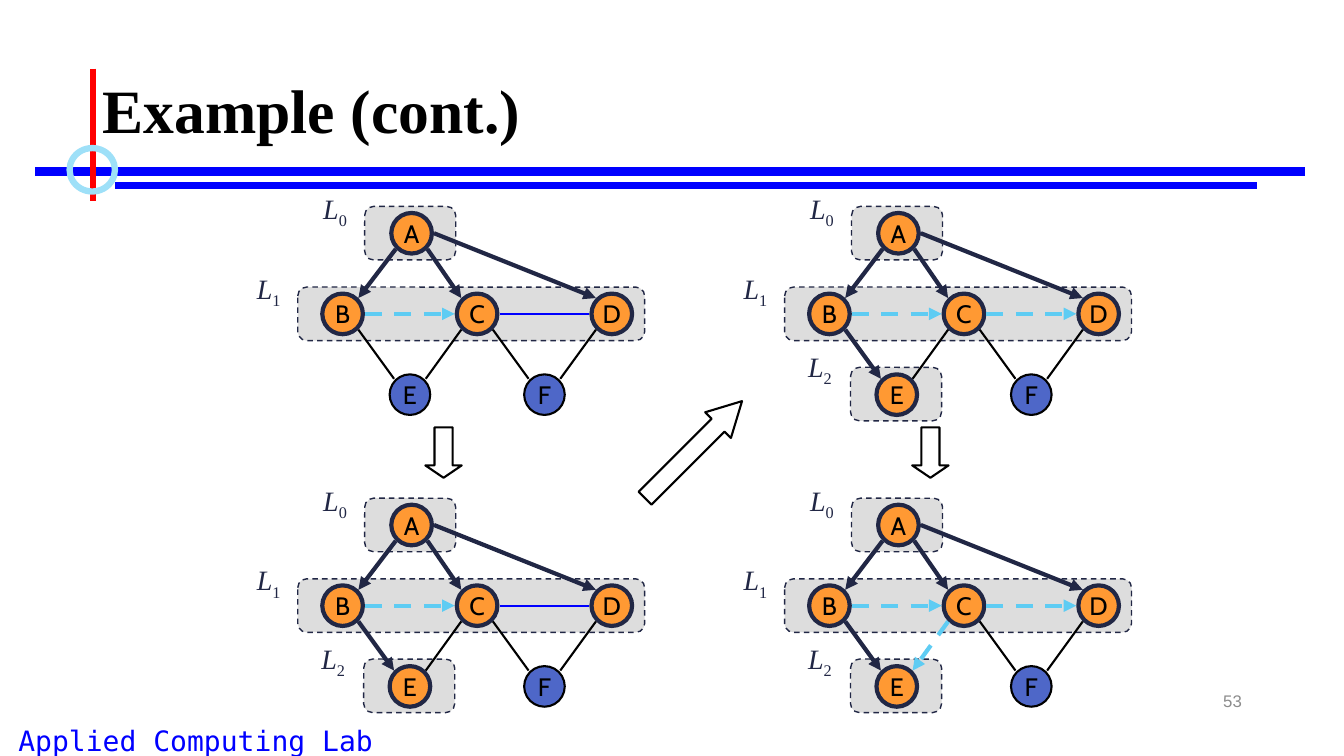
import math

import lxml.etree
import pptx
import pptx.dml.color
import pptx.enum.dml
import pptx.enum.shapes
import pptx.enum.text
import pptx.oxml.ns
import pptx.util

Pt = pptx.util.Pt
SHAPE = pptx.enum.shapes.MSO_SHAPE
ALIGN = pptx.enum.text.PP_ALIGN
MIDDLE = pptx.enum.text.MSO_ANCHOR.MIDDLE
DASH = pptx.enum.dml.MSO_LINE.DASH

COLORS = {
    "black": "000000",
    "navy": "212745",
    "blue": "0000FF",
    "red": "FF0000",
    "ring": "9EE0F8",
    "cross": "5ECCF3",
    "visited": "FF9933",
    "unvisited": "4E67C8",
    "level": "DDDDDD",
    "number": "8C8C8C",
}

PANEL_DX, PANEL_DY = 347.76, 208.4
NODE_SIZE = 29
PORT_RADIUS = 16
NODES = {
    "C": (340.8, 224.2),
    "B": (244.7, 224.2),
    "A": (294, 166.6),
    "E": (292.8, 281.9),
    "D": (437, 224.2),
    "F": (388.9, 281.9),
}
LEVELS = [
    (260.5, 147.5, 65, 221, 133.2),
    (212.7, 205.1, 247.8, 173.5, 190.2),
    (259.8, 262.4, 65, 219.6, 246),
]
LEVEL_HEIGHT = 38.2
PORT_ANGLES = {"e": 0, "se": 45, "sw": 135, "w": 180, "nw": 225, "ne": 315}
EDGE_STYLES = {
    "tree": {"color": "navy", "width": 3, "arrow": True},
    "cross": {"color": "cross", "width": 3, "arrow": True, "dash": DASH},
    "pending": {"color": "blue", "width": 1.5},
    "plain": {"color": "black", "width": 1.5},
}
EDGES = {
    "AB": ("sw", "ne", "tree"),
    "BE": ("se", "nw", "tree"),
    "CE": ("sw", "ne", "plain"),
    "AC": ("se", "nw", "tree"),
    "BC": ("e", "w", "cross"),
    "DF": ("sw", "ne", "plain"),
    "AD": ("e", "nw", "tree"),
    "CD": ("e", "w", "cross"),
    "CF": ("se", "nw", "plain"),
}
STEPS = [
    (0, 0, 2, {"BE": "plain", "CD": "pending"}),
    (0, 1, 3, {"CD": "pending"}),
    (1, 0, 3, {}),
    (1, 1, 3, {"CE": "cross"}),
]


def rgb(name):
    return pptx.dml.color.RGBColor.from_string(COLORS[name])


def apply(target, **values):
    for name, value in values.items():
        setattr(target, name, value)


def add_run(paragraph, text, size, font, color, **styles):
    run = paragraph.add_run()
    run.text = text
    apply(run.font, size=Pt(size), name=font, **styles)
    run.font.color.rgb = rgb(color)
    return run


def add_label(shapes, bounds, align):
    frame = shapes.add_textbox(*map(Pt, bounds)).text_frame
    frame.word_wrap = True
    frame.paragraphs[0].alignment = align
    return frame


def add_outline(shapes, preset, bounds, line, width, fill=None):
    shape = shapes.add_shape(preset, *map(Pt, bounds))
    shape.shadow.inherit = False
    if fill:
        shape.fill.solid()
        shape.fill.fore_color.rgb = rgb(fill)
    else:
        shape.fill.background()
    shape.line.color.rgb = rgb(line)
    shape.line.width = Pt(width)
    return shape


def add_line(shapes, start, end, color, width, arrow=False, dash=None):
    line = shapes.add_connector(
        pptx.enum.shapes.MSO_CONNECTOR.STRAIGHT, *map(Pt, (*start, *end))
    )
    line.line.color.rgb = rgb(color)
    apply(line.line, width=Pt(width), dash_style=dash)
    properties = line._element.spPr
    qn = pptx.oxml.ns.qn
    if arrow:
        outline = properties.find(qn("a:ln"))
        lxml.etree.SubElement(outline, qn("a:tailEnd"), type="triangle")
    lxml.etree.SubElement(properties, qn("a:effectLst"))


def add_node(shapes, letter, center, visited):
    x, y = center
    bounds = (x - NODE_SIZE / 2, y - NODE_SIZE / 2, NODE_SIZE, NODE_SIZE)
    style = ("navy", 3, "visited") if visited else ("black", 1.5, "unvisited")
    frame = add_outline(shapes, SHAPE.OVAL, bounds, *style).text_frame
    apply(frame, word_wrap=False, vertical_anchor=MIDDLE)
    frame.paragraphs[0].alignment = ALIGN.CENTER
    add_run(frame.paragraphs[0], letter, 18, "Cabin", "black")


def add_level(shapes, number, dx, dy):
    left, top, width, label_left, label_top = LEVELS[number]
    bounds = (left + dx, top + dy, width, LEVEL_HEIGHT)
    box = add_outline(shapes, SHAPE.ROUNDED_RECTANGLE, bounds, "navy", 1, "level")
    box.line.dash_style = DASH
    label_bounds = (label_left + dx, label_top + dy, 36.7, 31)
    paragraph = add_label(shapes, label_bounds, ALIGN.CENTER).paragraphs[0]
    add_run(paragraph, "L", 20, "Times New Roman", "navy", italic=True)
    index = add_run(paragraph, str(number), 20, "Times New Roman", "navy")
    index.font._element.set("baseline", "-25000")


def port(center, direction):
    angle = math.radians(PORT_ANGLES[direction])
    x, y = center
    return x + PORT_RADIUS * math.cos(angle), y + PORT_RADIUS * math.sin(angle)


def add_step(slide, column, row, level_count, changed_edges):
    shapes = slide.shapes.add_group_shape().shapes
    dx, dy = column * PANEL_DX, row * PANEL_DY
    centers = {letter: (x + dx, y + dy) for letter, (x, y) in NODES.items()}
    for number in reversed(range(level_count)):
        add_level(shapes, number, dx, dy)
    for letter, center in centers.items():
        visited = letter != "F" and (letter != "E" or level_count == 3)
        add_node(shapes, letter, center, visited)
    for (source, target), (leave, enter, kind) in EDGES.items():
        style = EDGE_STYLES[changed_edges.get(source + target, kind)]
        start, end = port(centers[source], leave), port(centers[target], enter)
        add_line(shapes, start, end, **style)


def add_step_arrow(slide, bounds, rotation, head):
    arrow = add_outline(slide.shapes, SHAPE.RIGHT_ARROW, bounds, "black", 1.5)
    arrow.rotation = rotation
    arrow.adjustments[1] = head


def add_frame(slide):
    shapes = slide.shapes
    footer = add_label(shapes, (0, 513.4, 279.4, 26), ALIGN.CENTER)
    add_run(footer.paragraphs[0], "Applied Computing Lab", 20, "DejaVu Sans Mono", "blue")
    add_line(shapes, (25.2, 122.4), (932.4, 122.4), "blue", 6)
    add_line(shapes, (82.1, 132.5), (897.8, 132.5), "blue", 4.5)
    add_line(shapes, (66.2, 49), (66.2, 143.3), "red", 4.5)
    add_outline(shapes, SHAPE.OVAL, (49.7, 105.8, 32.4, 31), "ring", 4.5)
    number = add_label(shapes, (678.2, 486, 216, 28.8), ALIGN.RIGHT)
    number.vertical_anchor = MIDDLE
    add_run(number.paragraphs[0], "53", 12, "Arial", "number")


def add_title(slide, text):
    title = slide.shapes.title
    apply(title, left=Pt(66.2), top=Pt(28.8), width=Pt(828), height=Pt(104.4))
    title.text_frame.vertical_anchor = MIDDLE
    paragraph = title.text_frame.paragraphs[0]
    apply(paragraph, alignment=ALIGN.LEFT, line_spacing=0.9)
    add_run(paragraph, text, 44, "Times New Roman", "black", bold=True)


def main():
    deck = pptx.Presentation()
    apply(deck, slide_width=Pt(960), slide_height=Pt(540))
    slide = deck.slides.add_slide(deck.slide_layouts[5])
    add_frame(slide)
    add_title(slide, "Example (cont.)")
    for column in range(2):
        add_step_arrow(slide, (298.8 + column * PANEL_DX, 310.3, 36, 26), 90, 0.34)
    add_step_arrow(slide, (446.4, 308.2, 98, 26), 315, 0.93)
    for step in STEPS:
        add_step(slide, *step)
    deck.save("out.pptx")


if __name__ == "__main__":
    main()
